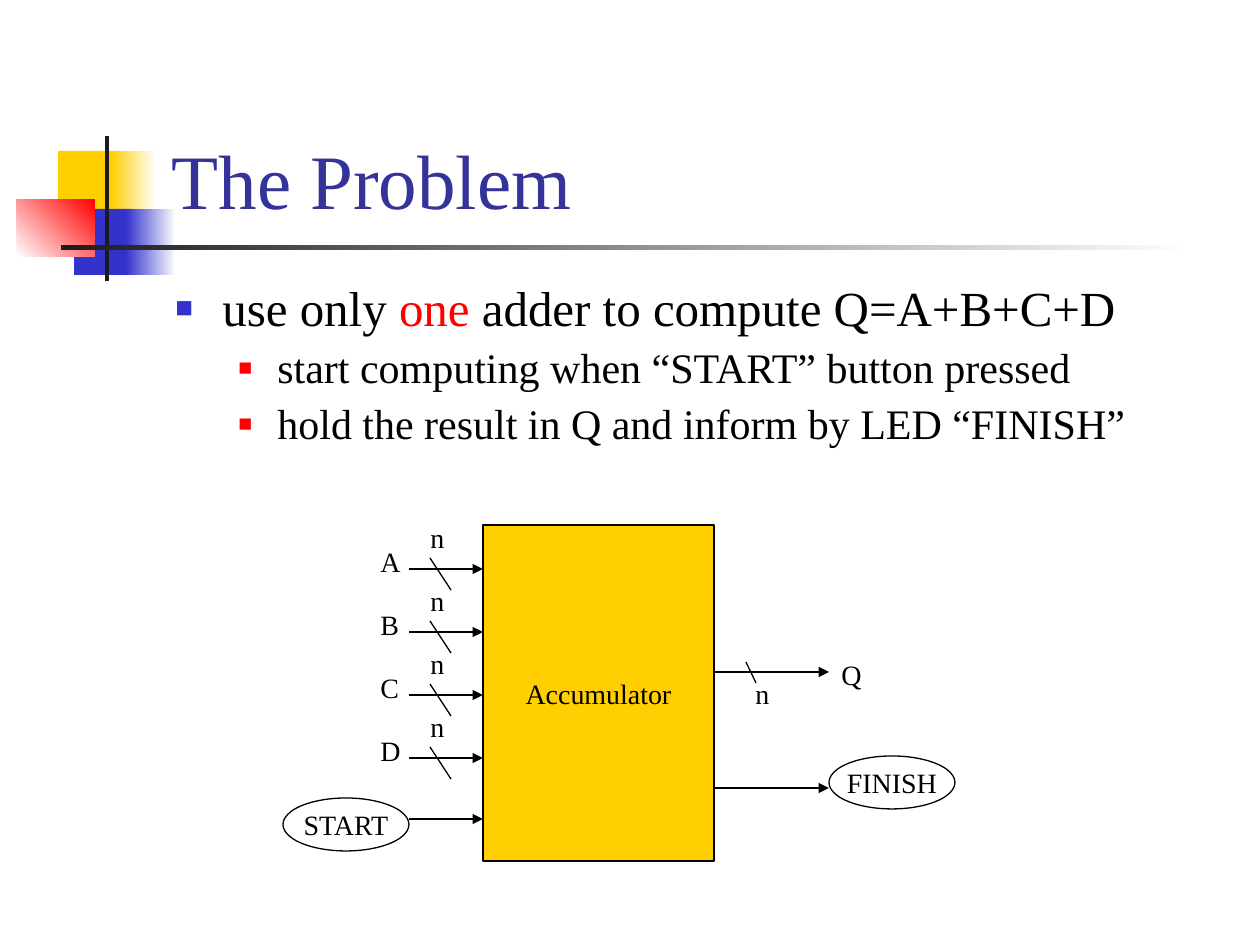
from dataclasses import dataclass

from lxml.etree import SubElement
from pptx import Presentation
from pptx.dml.color import RGBColor as RGB
from pptx.enum.shapes import MSO_CONNECTOR as Connector, MSO_SHAPE as Shape
from pptx.enum.text import MSO_ANCHOR as Anchor, PP_ALIGN as Align
from pptx.oxml.ns import qn
from pptx.util import Emu, Pt

EMU_PER_PX = 914400 / 126


@dataclass(frozen=True)
class Theme:
    """Colours, typeface and sizes of the deck."""
    font: str = "Times New Roman"
    title: str = "333399"
    text: str = "000000"
    accent: str = "FF0000"
    yellow: str = "FFCF01"
    blue: str = "3333CC"
    dark: str = "1C1C1C"
    paper: str = "FFFFFF"
    title_size: int = 44
    lead_size: int = 28
    point_size: int = 24
    label_size: int = 16
    line_width: float = 0.75


THEME = Theme()


def px(length):
    """Turn pixels into EMU."""
    return Emu(round(length * EMU_PER_PX))


def place(box, left, top, width, height):
    """Return EMU bounds for a part positioned relative to a box."""
    return [px(v) for v in (box[0] + left, box[1] + top, width, height)]


def style(run, size, color=THEME.text):
    """Format one run."""
    run.font.name = THEME.font
    run.font.size = Pt(size)
    run.font.color.rgb = RGB.from_string(color)


def write_label(frame, text, align, anchor):
    """Write a single unwrapped diagram label."""
    frame.text = text
    frame.word_wrap = False
    frame.vertical_anchor = anchor
    frame.paragraphs[0].alignment = align
    style(frame.paragraphs[0].runs[0], THEME.label_size)


def add_block(slide, kind, bounds, colors, angle=0):
    """Add an unlined shape with no, a solid or a two-stop gradient fill."""
    block = slide.shapes.add_shape(kind, *bounds)
    block.shadow.inherit = False
    block.line.fill.background()
    if not colors:
        block.fill.background()
    elif len(colors) == 1:
        block.fill.solid()
        block.fill.fore_color.rgb = RGB.from_string(colors[0])
    else:
        block.fill.gradient()
        block.fill.gradient_angle = angle
        for stop, color in zip(block.fill.gradient_stops, colors):
            stop.color.rgb = RGB.from_string(color)
    return block


def add_node(slide, kind, bounds, text, colors=()):
    """Add an outlined shape with a centred label."""
    node = add_block(slide, kind, bounds, colors)
    node.line.color.rgb = RGB.from_string(THEME.text)
    node.line.width = Pt(THEME.line_width)
    write_label(node.text_frame, text, Align.CENTER, Anchor.MIDDLE)


def add_label(slide, box, left, top, text):
    """Add a one-letter signal label."""
    label = slide.shapes.add_textbox(*place(box, left, top, 45 if text != "n" else 39, 47))
    write_label(label.text_frame, text, Align.LEFT, Anchor.TOP)


def add_line(slide, box, start, end, arrow=False):
    """Add a thin line, optionally ending in an arrowhead."""
    ends = [px(box[i % 2] + v) for i, v in enumerate(start + end)]
    wire = slide.shapes.add_connector(Connector.STRAIGHT, *ends)
    wire.line.color.rgb = RGB.from_string(THEME.text)
    wire.line.width = Pt(THEME.line_width)
    if arrow:
        SubElement(wire.line._get_or_add_ln(), qn("a:tailEnd"), type="triangle")
    SubElement(wire._element.spPr, qn("a:effectLst"))


def draw_ornament(slide, box):
    """Draw the coloured squares and the crossing rules."""
    t = THEME
    for bounds, colors, angle in (
        ((41, 15, 60, 66), (t.yellow,), 0),
        ((94, 15, 45, 66), (t.yellow, t.paper), 0),
        ((57, 73, 58, 66), (t.blue,), 0),
        ((109, 73, 50, 66), (t.blue, t.paper), 0),
        ((0, 63, 78, 58), (t.paper, t.accent), 45),
        ((88, 0, 4, 145), (t.dark,), 0),
        ((44, 109, 1134, 5), (t.dark, t.paper), 0),
    ):
        add_block(slide, Shape.RECTANGLE, place(box, *bounds), colors, angle)


def write_title(slide, box, text):
    """Place and format the title placeholder."""
    title = slide.shapes.title
    title.left, title.top, title.width, title.height = place(box, 0, 0, *box[2:])
    frame = title.text_frame
    frame.text = text
    frame.word_wrap = True
    frame.vertical_anchor = Anchor.BOTTOM
    frame.paragraphs[0].alignment = Align.LEFT
    style(frame.paragraphs[0].runs[0], THEME.title_size, THEME.title)


def set_bullet(paragraph, margin, hang, color, percent):
    """Give a paragraph a square bullet and a hanging indent."""
    props = paragraph._p.get_or_add_pPr()
    props.set("marL", str(px(margin)))
    props.set("indent", str(-px(hang)))
    SubElement(SubElement(props, qn("a:buClr")), qn("a:srgbClr"), val=color)
    SubElement(props, qn("a:buSzPct"), val=str(percent * 1000))
    SubElement(props, qn("a:buFont"), typeface=THEME.font)
    SubElement(props, qn("a:buChar"), char="■")


def write_points(slide, box, lead, points):
    """Write the lead statement and its sub-points."""
    frame = slide.shapes.add_textbox(*place(box, 0, 0, *box[2:])).text_frame
    frame.word_wrap = True
    statement = frame.paragraphs[0]
    set_bullet(statement, 47, 47, THEME.blue, 60)
    statement.line_spacing = 0.9
    for text, color in lead:
        run = statement.add_run()
        run.text = text
        style(run, THEME.lead_size, color)
    for text in points:
        point = frame.add_paragraph()
        point.text = text
        point.level = 1
        set_bullet(point, 102, 39, THEME.accent, 55)
        point.line_spacing = 0.9
        point.space_before = Pt(6)
        style(point.runs[0], THEME.point_size)


def draw_accumulator(slide, box, inputs):
    """Draw the accumulator block with its input and output signals."""
    left, right, pitch = 200, 431, 63
    wire_start, wire_end = 126, 546
    add_node(slide, Shape.RECTANGLE, place(box, left, 0, right - left, 336),
             "Accumulator", (THEME.yellow,))
    for row, name in enumerate(inputs):
        y = 44 + row * pitch
        add_line(slide, box, (wire_start, y), (left, y), arrow=True)
        add_line(slide, box, (147, y - 11), (168, y + 21))
        add_label(slide, box, 135, y - 55, "n")
        add_label(slide, box, 85, y - 31, name)
    add_line(slide, box, (wire_start, 294), (left, 294), arrow=True)
    add_node(slide, Shape.OVAL, place(box, 0, 273, 126, 53), "START")
    add_line(slide, box, (right, 147), (wire_end, 147), arrow=True)
    add_line(slide, box, (463, 137), (473, 158))
    add_label(slide, box, 460, 145, "n")
    add_label(slide, box, wire_end, 126, "Q")
    add_line(slide, box, (right, 263), (wire_end, 263), arrow=True)
    add_node(slide, Shape.OVAL, place(box, wire_end, 231, 126, 53), "FINISH")


def main():
    """Build the slide and save it."""
    deck = Presentation()
    deck.slide_width, deck.slide_height = px(1260), px(945)
    slide = deck.slides.add_slide(deck.slide_layouts[5])
    draw_ornament(slide, (17, 136))
    write_title(slide, (159, 29, 1074, 202), "The Problem")
    write_points(
        slide, (163, 278, 1071, 184),
        (("use only ", THEME.text), ("one", THEME.accent),
         (" adder to compute Q=A+B+C+D", THEME.text)),
        ("start computing when “START” button pressed",
         "hold the result in Q and inform by LED “FINISH”"))
    draw_accumulator(slide, (283, 525), "ABCD")
    deck.save("out.pptx")


if __name__ == "__main__":
    main()
